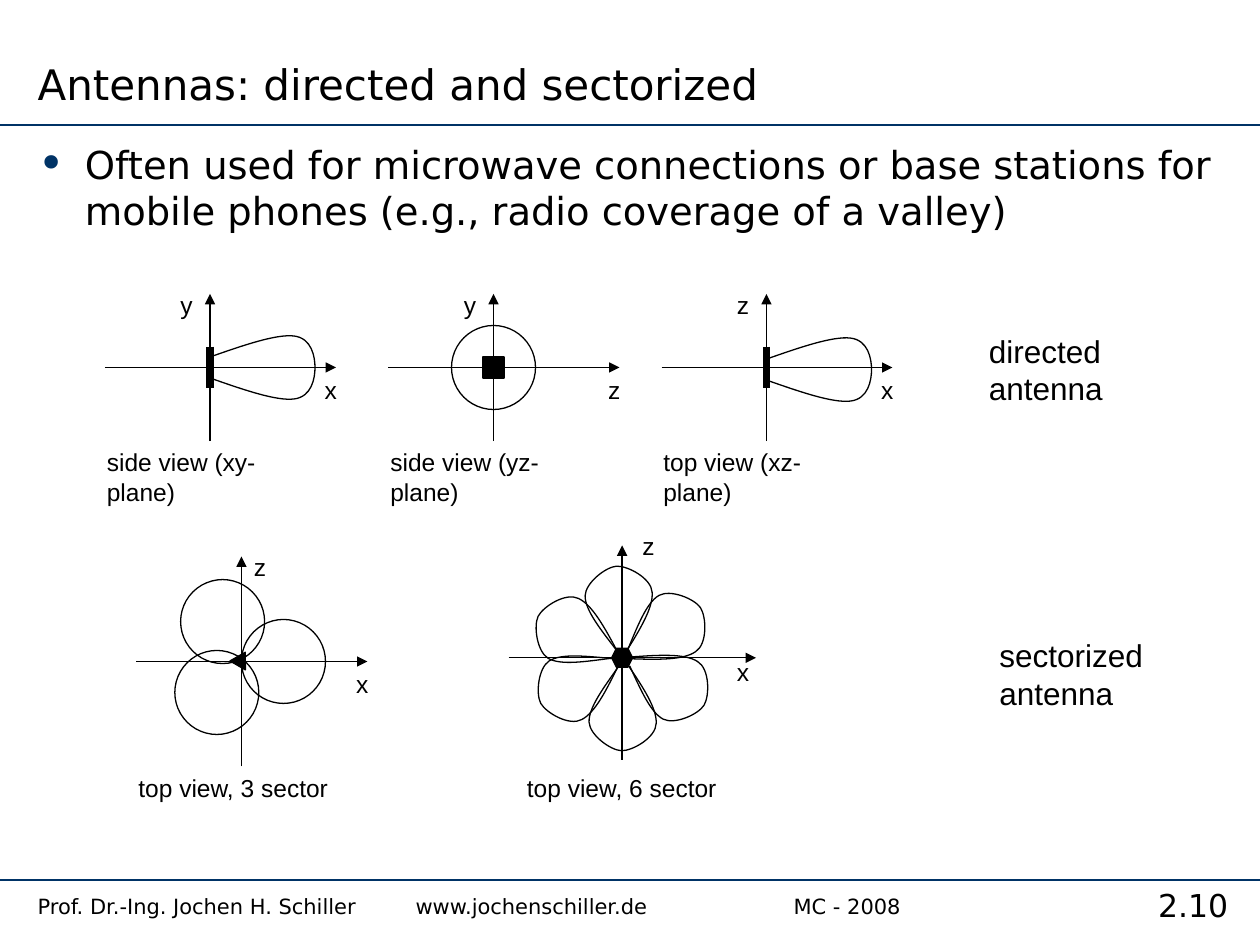
"""Build the slide on directed and sectorized antennas."""
from typing import NamedTuple

from lxml.etree import SubElement
from pptx import Presentation
from pptx.dml.color import RGBColor
from pptx.enum.shapes import MSO_CONNECTOR, MSO_SHAPE
from pptx.enum.text import MSO_ANCHOR, PP_ALIGN
from pptx.oxml.ns import qn
from pptx.util import Inches, Pt

BLACK = RGBColor(0x00, 0x00, 0x00)
NAVY = RGBColor(0x00, 0x33, 0x66)
HEADING_FONT, LABEL_FONT = "DejaVu Sans", "Arial"
CELLS_PER_INCH = 12
COLUMNS, ROWS = 120, 90


class Point(NamedTuple):
    """A position in grid columns and rows."""
    column: float
    row: float

    def plus(self, other: "Point") -> "Point":
        return Point(self.column + other.column, self.row + other.row)

    def mirrored(self) -> "Point":
        return Point(self.column, -self.row)


class Label(NamedTuple):
    """A text and its offset from the diagram's origin."""
    text: str
    offset: Point
    width: float = 3.6


class Diagram(NamedTuple):
    """A pair of axes with labels; reaches are left, right, up and down."""
    origin: Point
    reaches: tuple[float, float, float, float]
    labels: tuple[Label, ...]


class Petal(NamedTuple):
    """A sector lobe placed by its center."""
    center: Point
    rotation: float
    mirrored: bool = False


def directed(column: float, across: str, upward: str, caption: str, width: float) -> Diagram:
    """Describe one diagram of the directed antenna row."""
    labels = (Label(across, Point(9.75, 0.15)), Label(upward, Point(-4, -8)),
              Label(caption, Point(-11, 7), width))
    return Diagram(Point(column, 35), (10, 12, 7, 7), labels)


SIDE_XY = directed(20, "x", "y", "side view (xy-plane)", 22.6)
SIDE_YZ = directed(47, "z", "y", "side view (yz-plane)", 22.6)
TOP_XZ = directed(73, "x", "z", "top view (xz-plane)", 21.6)
THREE_SECTOR = Diagram(Point(23, 63), (10, 12, 10, 10), (
    Label("x", Point(9.75, 0.15)), Label("z", Point(0, -11)),
    Label("top view, 3 sector", Point(-11, 10), 20.6)))
SIX_SECTOR = Diagram(Point(59.25, 62.65), (10.8, 12.75, 10.7, 9.7), (
    Label("x", Point(9.75, -0.65)), Label("z", Point(0.75, -12.65)),
    Label("top view, 6 sector", Point(-10.25, 10.35), 20.6)))
DIAGRAMS = (SIDE_XY, SIDE_YZ, TOP_XZ, THREE_SECTOR, SIX_SECTOR)

UPPER_BEAM = [Point(0, -1), Point(3.15, -2.1), Point(6.3, -3.2), Point(8, -3),
              Point(9.7, -2.8), Point(10, -1), Point(10, 0)]
BEAM = UPPER_BEAM + [point.mirrored() for point in UPPER_BEAM[-2::-1]]
PETAL_OUTLINE = [
    Point(3.4, 2.8), Point(1, 3.1), Point(-1.4, 3.5), Point(-2.6, 2.8),
    Point(-3.65, 2.15), Point(-4, -0.25), Point(-3.55, -1.2), Point(-3.05, -2.15),
    Point(-0.9, -3.5), Point(0.3, -2.9), Point(1.6, -2.3), Point(2.8, -0.1),
    Point(4, 2.15)]
PETALS = (
    Petal(Point(54.8, 59.9), 0), Petal(Point(59.45, 57.6), 60),
    Petal(Point(63.9, 60.35), 120), Petal(Point(55, 65.65), 357.8, True),
    Petal(Point(59.8, 67.8), 297.8, True), Petal(Point(64.15, 64.8), 237.8, True))


def cells(count: float) -> int:
    """Convert grid cells to a length."""
    return Inches(count / CELLS_PER_INCH)


def add_line(slide, start: Point, end: Point, color: RGBColor = BLACK,
             width: float = 0.75, arrow: bool = False) -> None:
    """Draw a straight line, with an arrowhead at its end if wanted."""
    line = slide.shapes.add_connector(
        MSO_CONNECTOR.STRAIGHT, *map(cells, (*start, *end)))
    line.line.color.rgb = color
    line.line.width = Pt(width)
    if arrow:
        SubElement(line.line._get_or_add_ln(), qn("a:tailEnd"), type="triangle")
    SubElement(line._element.spPr, qn("a:effectLst"))


def add_text(slide, corner: Point, width: float, height: float, lines: list[str],
             size: float, font: str = LABEL_FONT, align=PP_ALIGN.LEFT,
             anchor=MSO_ANCHOR.TOP):
    """Write one paragraph per line and return the text frame."""
    box = slide.shapes.add_textbox(*map(cells, (*corner, width, height)))
    frame = box.text_frame
    frame.word_wrap = True
    frame.vertical_anchor = anchor
    for index, line in enumerate(lines):
        paragraph = frame.add_paragraph() if index else frame.paragraphs[0]
        paragraph.alignment = align
        run = paragraph.add_run()
        run.text = line
        run.font.size = Pt(size)
        run.font.name = font
        run.font.color.rgb = BLACK
    return frame


def style_outline(shape, filled: bool) -> None:
    """Give a shape a thin black outline and a black or empty inside."""
    shape.shadow.inherit = False
    shape.line.color.rgb = BLACK
    shape.line.width = Pt(0.75)
    if filled:
        shape.fill.solid()
        shape.fill.fore_color.rgb = BLACK
    else:
        shape.fill.background()


def add_centered(slide, kind, center: Point, width: float, height: float,
                 filled: bool = True, rotation: float = 0) -> None:
    """Draw a preset shape around its center."""
    corner = center.plus(Point(-width / 2, -height / 2))
    shape = slide.shapes.add_shape(kind, *map(cells, (*corner, width, height)))
    shape.rotation = rotation
    style_outline(shape, filled)


def add_lobe(slide, origin: Point, controls: list[Point], rotation: float = 0) -> None:
    """Draw an open outline of cubic curves relative to an origin."""
    points = [tuple(map(cells, origin.plus(point))) for point in controls]
    builder = slide.shapes.build_freeform(*points[0])
    builder.add_line_segments(points[1:], close=False)
    shape = builder.convert_to_shape()
    outline = next(shape._element.iter(qn("a:path")))
    segments = outline.findall(qn("a:lnTo"))
    for first in range(0, len(segments), 3):
        curve = SubElement(outline, qn("a:cubicBezTo"))
        for segment in segments[first:first + 3]:
            curve.append(segment[0])
            outline.remove(segment)
    shape.rotation = rotation
    style_outline(shape, False)


def add_diagram(slide, diagram: Diagram) -> None:
    """Draw the axes and labels of a diagram."""
    origin = diagram.origin
    left, right, up, down = diagram.reaches
    add_line(slide, origin.plus(Point(0, down)), origin.plus(Point(0, -up)), arrow=True)
    add_line(slide, origin.plus(Point(-left, 0)), origin.plus(Point(right, 0)), arrow=True)
    for label in diagram.labels:
        add_text(slide, origin.plus(label.offset), label.width, 4, [label.text], 14)


def add_frame(slide) -> None:
    """Add the rules, title, footer and bullet."""
    for row in (11.9, 83.8):
        add_line(slide, Point(0, row), Point(COLUMNS, row), NAVY, 1)
    add_text(slide, Point(107.25, 83.75), 12.75, 4.8, ["2.10"], 18, HEADING_FONT,
             PP_ALIGN.CENTER)
    footer = add_text(slide, Point(2.4, 84.5), 104.85, 4, [
        "Prof. Dr.-Ing. Jochen H. Schiller\twww.jochenschiller.de\t\tMC - 2008"],
        12, HEADING_FONT)
    tabs = SubElement(footer.paragraphs[0]._p.get_or_add_pPr(), qn("a:tabLst"))
    for inches in (3, 5, 6):
        SubElement(tabs, qn("a:tab"), pos=str(Inches(inches)), algn="l")
    add_text(slide, Point(2.4, 0), 79.3, 10.95, ["Antennas: directed and sectorized"],
             24, HEADING_FONT, anchor=MSO_ANCHOR.BOTTOM)
    body = add_text(slide, Point(2.4, 12.8), 115.3, 70.2, [
        "Often used for microwave connections or base stations for mobile phones "
        "(e.g., radio coverage of a valley)"], 22, HEADING_FONT)
    paragraph = body.paragraphs[0]
    paragraph.space_before = Pt(4.4)
    properties = paragraph._p.get_or_add_pPr()
    properties.set("marL", str(cells(4.5)))
    properties.set("indent", str(-cells(4.5)))
    SubElement(SubElement(properties, qn("a:buClr")), qn("a:srgbClr"), val=str(NAVY))
    SubElement(properties, qn("a:buSzPct"), val="120000")
    SubElement(properties, qn("a:buFont"), typeface=HEADING_FONT)
    SubElement(properties, qn("a:buChar"), char="•")


def main() -> None:
    """Build and save the presentation."""
    presentation = Presentation()
    presentation.slide_width, presentation.slide_height = cells(COLUMNS), cells(ROWS)
    slide = presentation.slides.add_slide(presentation.slide_layouts[6])
    add_frame(slide)
    for diagram in DIAGRAMS:
        add_diagram(slide, diagram)
    for diagram, shift in ((SIDE_XY, 0), (TOP_XZ, 0.2)):
        origin = diagram.origin
        add_line(slide, origin.plus(Point(0, -2)), origin.plus(Point(0, 2)), width=4.5)
        add_lobe(slide, origin.plus(Point(0, shift)), BEAM)
    add_centered(slide, MSO_SHAPE.OVAL, SIDE_YZ.origin, 8, 8, False)
    add_centered(slide, MSO_SHAPE.RECTANGLE, SIDE_YZ.origin, 2, 2)
    add_centered(slide, MSO_SHAPE.ISOSCELES_TRIANGLE,
                 THREE_SECTOR.origin.plus(Point(0, -0.25)), 1.7, 1.45, rotation=30)
    for offset in (Point(4, 0), Point(-2.35, 2.95), Point(-1.8, -3.8)):
        add_centered(slide, MSO_SHAPE.OVAL, THREE_SECTOR.origin.plus(offset), 8, 8, False)
    add_centered(slide, MSO_SHAPE.HEXAGON, SIX_SECTOR.origin, 2, 1.8)
    for petal in PETALS:
        outline = [p.mirrored() if petal.mirrored else p for p in PETAL_OUTLINE]
        add_lobe(slide, petal.center, outline, petal.rotation)
    for corner, width, kind in ((Point(93, 31), 13.4, "directed"),
                                (Point(94, 60), 16.2, "sectorized")):
        add_text(slide, corner, width, 8.4, [kind, "antenna"], 18)
    presentation.save("out.pptx")


if __name__ == "__main__":
    main()
